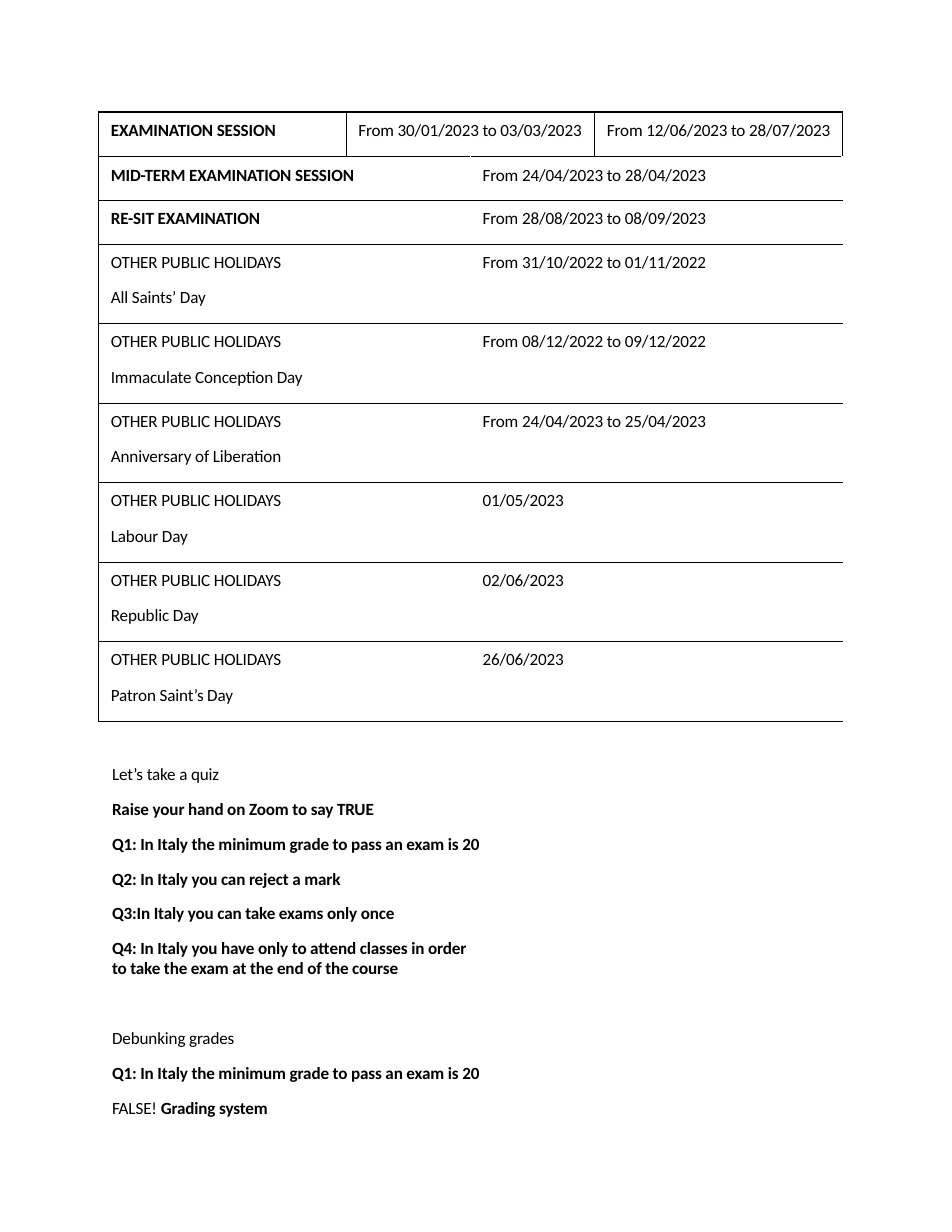
from dataclasses import dataclass

from lxml import etree
from pptx import Presentation
from pptx import util as u
from pptx.dml.color import RGBColor
from pptx.oxml.ns import qn


@dataclass(frozen=True)
class Theme:
    font: str = "Calibri"
    size: float = 11
    ink: str = "000000"
    rule: float = 0.75
    track: int = -10  # letter spacing, hundredths of a point


LOOK = Theme()
COLS = (2.21, 1.11, 1.11, 2.21)
THIRDS = ((0, 1), (1, 2), (3, 1))  # first column and width of each cell
HALVES = ((0, 2), (2, 2))

SESSIONS = (
    ("EXAMINATION SESSION", "From 30/01/2023 to 03/03/2023",
     "From 12/06/2023 to 28/07/2023"),
    ("MID-TERM EXAMINATION SESSION", "From 24/04/2023 to 28/04/2023"),
    ("RE-SIT EXAMINATION", "From 28/08/2023 to 08/09/2023"),
)
HOLIDAYS = (
    ("All Saints’ Day", "From 31/10/2022 to 01/11/2022"),
    ("Immaculate Conception Day", "From 08/12/2022 to 09/12/2022"),
    ("Anniversary of Liberation", "From 24/04/2023 to 25/04/2023"),
    ("Labour Day", "01/05/2023"),
    ("Republic Day", "02/06/2023"),
    ("Patron Saint’s Day", "26/06/2023"),
)

# Each quiz line: space before in points, then (wording, bold) runs
GAP = 9.1
QUIZ = (
    (1.1, [("Let’s take a quiz", False)]),
    (GAP, [("Raise your hand on Zoom to say TRUE", True)]),
    (GAP, [("Q1: In Italy the minimum grade to pass an exam is 20", True)]),
    (GAP, [("Q2: In Italy you can reject a mark", True)]),
    (GAP, [("Q3:In Italy you can take exams only once", True)]),
    (GAP, [("Q4: In Italy you have only to attend classes in order", True),
           ("\v", True),
           ("to take the exam at the end of the course", True)]),
    (31.6, [("Debunking grades", False)]),
    (GAP, [("Q1: In Italy the minimum grade to pass an exam is 20", True)]),
    (GAP, [("FALSE! ", False), ("Grading system", True)]),
)


def style(item, **vals):
    for name, val in vals.items():
        setattr(item, name, val)


def write(frame, lines):
    """Fill a text frame with (space before, runs) lines."""
    for num, (space, runs) in enumerate(lines):
        para = frame.add_paragraph() if num else frame.paragraphs[0]
        para.space_before = u.Pt(space)
        for words, bold in runs:
            if words == "\v":
                para.add_line_break()
                continue
            run = para.add_run()
            run.text = words
            style(run.font, name=LOOK.font, size=u.Pt(LOOK.size), bold=bold)
            run.font.color.rgb = RGBColor.from_string(LOOK.ink)
            run.font._element.set("spc", str(LOOK.track))


def border(cell, sides):
    """Draw thin rules on the named sides of a cell."""
    props = cell._tc.get_or_add_tcPr()
    for side in sides:
        line = etree.SubElement(props, qn(f"a:ln{side}"),
                                w=str(u.Pt(LOOK.rule)))
        fill = etree.SubElement(line, qn("a:solidFill"))
        etree.SubElement(fill, qn("a:srgbClr"), val=LOOK.ink)


def add_cell(table, row, col, span, lines):
    last = col + span - 1
    for pos in range(col, last + 1):
        cell = table.cell(row, pos)
        left = "L" if pos == col else ""
        right = "R" if pos == last else ""
        border(cell, left + right + "TB")
        cell.fill.background()
    cell = table.cell(row, col)
    if span > 1:
        cell.merge(table.cell(row, last))
    style(cell, margin_left=u.Inches(0.11), margin_right=0,
          margin_top=u.Inches(0.07), margin_bottom=0)
    write(cell.text_frame, lines)


def add_dates(slide):
    # Sessions have one bold title, holidays a label and a name
    rows = [[[(5, [(words, num == 0)])] for num, words in enumerate(row)]
            for row in SESSIONS]
    rows += [[[(5, [("OTHER PUBLIC HOLIDAYS", False)]),
               (9.3, [(name, False)])],
              [(5, [(date, False)])]] for name, date in HOLIDAYS]
    highs = [0.4, 0.39, 0.39] + [0.71] * len(HOLIDAYS)

    table = slide.shapes.add_table(
        len(rows), len(COLS), u.Inches(0.88), u.Inches(1),
        u.Inches(sum(COLS)), u.Inches(sum(highs))).table
    style(table, first_row=False, horz_banding=False)
    for col, wide in zip(table.columns, COLS):
        col.width = u.Inches(wide)
    for num, (cells, high) in enumerate(zip(rows, highs)):
        table.rows[num].height = u.Inches(high)
        plan = THIRDS if len(cells) == 3 else HALVES
        for (col, span), lines in zip(plan, cells):
            add_cell(table, num, col, span, lines)


def add_quiz(slide):
    box = slide.shapes.add_textbox(u.Inches(0.99), u.Inches(6.81),
                                   u.Inches(5.91), u.Inches(3.22))
    frame = box.text_frame
    style(frame, word_wrap=True, margin_left=u.Inches(0.01),
          margin_right=0, margin_top=u.Inches(0.01), margin_bottom=0)
    write(frame, QUIZ)


def main():
    deck = Presentation()
    style(deck, slide_width=u.Inches(8.5), slide_height=u.Inches(11))
    slide = deck.slides.add_slide(deck.slide_layouts[6])
    add_dates(slide)  # calendar table
    add_quiz(slide)  # questions below it
    deck.save("out.pptx")


if __name__ == "__main__":
    main()
